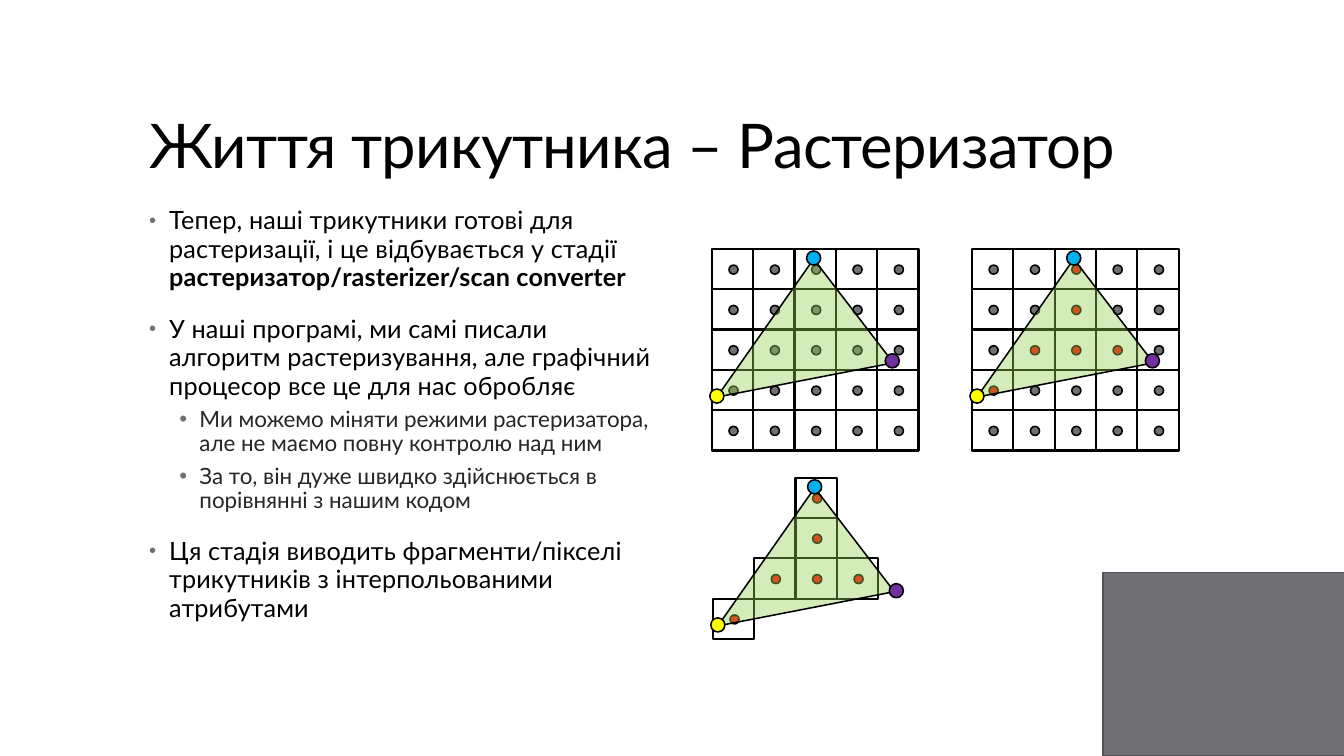
import pptx
import pptx.util
import pptx.dml.color
import pptx.enum.shapes
import pptx.enum.text
import pptx.oxml.ns
import lxml.etree

PX = 9144
FONT = "Lato"
COLORS = {
    "text": "000000", "subtext": "262626", "outline": "000000",
    "gray": "6F6F74", "panel_line": "525256", "covered": "FF0000",
    "triangle": "92D050", "blue": "00B0F0", "purple": "7030A0", "yellow": "FFFF00",
}
RECT = pptx.enum.shapes.MSO_SHAPE.RECTANGLE
OVAL = pptx.enum.shapes.MSO_SHAPE.OVAL
CELL_W, CELL_H = 41, 40
TRIANGLE = [(5, 147), (101, 10), (180, 113)]
COVERED = {(2, 0), (2, 1), (1, 2), (2, 2), (3, 2), (0, 3)}
ALL_CELLS = {(column, row) for column in range(5) for row in range(5)}
LEVELS = [
    dict(size=18, color="text", spacing=10, margin=20, line=0.95, before=14, after=2, bullet=80),
    dict(size=16, color="subtext", spacing=0, margin=50, line=0.9, before=3, after=3, bullet=100),
]
POINTS = [
    (0, "Тепер, наші трикутники готові для растеризації, і це відбувається у стадії ",
     "растеризатор/rasterizer/scan converter"),
    (0, "У наші програмі, ми самі писали алгоритм растеризування, але графічний процесор все це для нас обробляє", ""),
    (1, "Ми можемо міняти режими растеризатора, але не маємо повну контролю над ним", ""),
    (1, "За то, він дуже швидко здійснюється в порівнянні з нашим кодом", ""),
    (0, "Ця стадія виводить фрагменти/пікселі трикутників з інтерпольованими атрибутами", ""),
]


def px(value):
    return pptx.util.Emu(value * PX)


def rgb(name):
    return pptx.dml.color.RGBColor.from_string(COLORS[name])


def child(parent, tag, **attributes):
    return lxml.etree.SubElement(parent, pptx.oxml.ns.qn(tag), **attributes)


class RasterSlide:
    def __init__(self, presentation):
        self.slide = presentation.slides.add_slide(presentation.slide_layouts[5])
        self.shapes = self.slide.shapes

    def paint(self, shape, fill, line, width):
        shape.shadow.inherit = False
        if fill:
            shape.fill.solid()
            shape.fill.fore_color.rgb = rgb(fill)
        else:
            shape.fill.background()
        shape.line.color.rgb = rgb(line)
        shape.line.width = pptx.util.Pt(width)

    def shape(self, kind, left, top, width, height, fill=None, line="outline", weight=1.1):
        shape = self.shapes.add_shape(kind, px(left), px(top), px(width), px(height))
        self.paint(shape, fill, line, weight)

    def format_run(self, run, size, color, spacing):
        run.font.name = FONT
        run.font.size = pptx.util.Pt(size)
        run.font.color.rgb = rgb(color)
        run.font._element.set("spc", str(spacing))

    def title(self, text, left, top, width, height):
        title = self.shapes.title
        title.left, title.top, title.width, title.height = map(px, (left, top, width, height))
        frame = title.text_frame
        frame.text = text
        frame.vertical_anchor = pptx.enum.text.MSO_ANCHOR.BOTTOM
        heading = frame.paragraphs[0]
        heading.alignment = pptx.enum.text.PP_ALIGN.LEFT
        heading.line_spacing = 0.9
        self.format_run(heading.runs[0], 44, "text", -50)

    def bullets(self, points, left, top, width, height):
        frame = self.shapes.add_textbox(px(left), px(top), px(width), px(height)).text_frame
        frame.word_wrap = True
        for index, (level, text, term) in enumerate(points):
            style = LEVELS[level]
            point = frame.add_paragraph() if index else frame.paragraphs[0]
            point.text = text
            if term:
                bold = point.add_run()
                bold.text = term
                bold.font.bold = True
            properties = point._p.get_or_add_pPr()
            properties.set("marL", str(px(style["margin"])))
            properties.set("indent", str(px(-20)))
            child(child(properties, "a:buClr"), "a:srgbClr", val=COLORS["gray"])
            child(properties, "a:buSzPct", val=str(style["bullet"] * 1000))
            child(properties, "a:buFont", typeface="Arial")
            child(properties, "a:buChar", char="•")
            point.level = level
            point.line_spacing = style["line"]
            point.space_before = pptx.util.Pt(style["before"] if index else 0)
            point.space_after = pptx.util.Pt(style["after"])
            for run in point.runs:
                self.format_run(run, style["size"], style["color"], style["spacing"])

    def triangle(self, left, top):
        corners = [(left + x, top + y) for x, y in TRIANGLE]
        builder = self.shapes.build_freeform(*corners[0], scale=float(PX))
        builder.add_line_segments(corners[1:], close=True)
        triangle = builder.convert_to_shape()
        self.paint(triangle, "triangle", "outline", 1.1)
        fill_color = triangle._element.spPr.find(pptx.oxml.ns.qn("a:solidFill"))[0]
        child(fill_color, "a:alpha", val="40000")

    def raster(self, left, top, cells, covered, purple=(172, 104)):
        for column, row in sorted(cells):
            x, y = left + column * CELL_W, top + row * CELL_H
            self.shape(RECT, x, y, CELL_W, CELL_H, weight=1.5)
            self.shape(OVAL, x + 17, y + 16, 9, 9, "covered" if (column, row) in covered else "gray")
        self.triangle(left, top)
        for color, (x, y) in {"blue": (94, 2), "purple": purple, "yellow": (-2, 139)}.items():
            self.shape(OVAL, left + x, top + y, 14, 14, color)


def main():
    presentation = pptx.Presentation()
    presentation.slide_width = pptx.util.Inches(13.33)
    presentation.slide_height = pptx.util.Inches(7.5)
    page = RasterSlide(presentation)
    page.shape(RECT, 1094, 568, 240, 182, "gray", "panel_line")
    page.title("Життя трикутника – Растеризатор", 138, 40, 1134, 145)
    page.bullets(POINTS, 138, 200, 529, 476)
    page.raster(706, 247, ALL_CELLS, set())
    page.raster(964, 247, ALL_CELLS, COVERED)
    page.raster(707, 474, COVERED, COVERED, purple=(175, 105))
    presentation.save("out.pptx")


if __name__ == "__main__":
    main()
